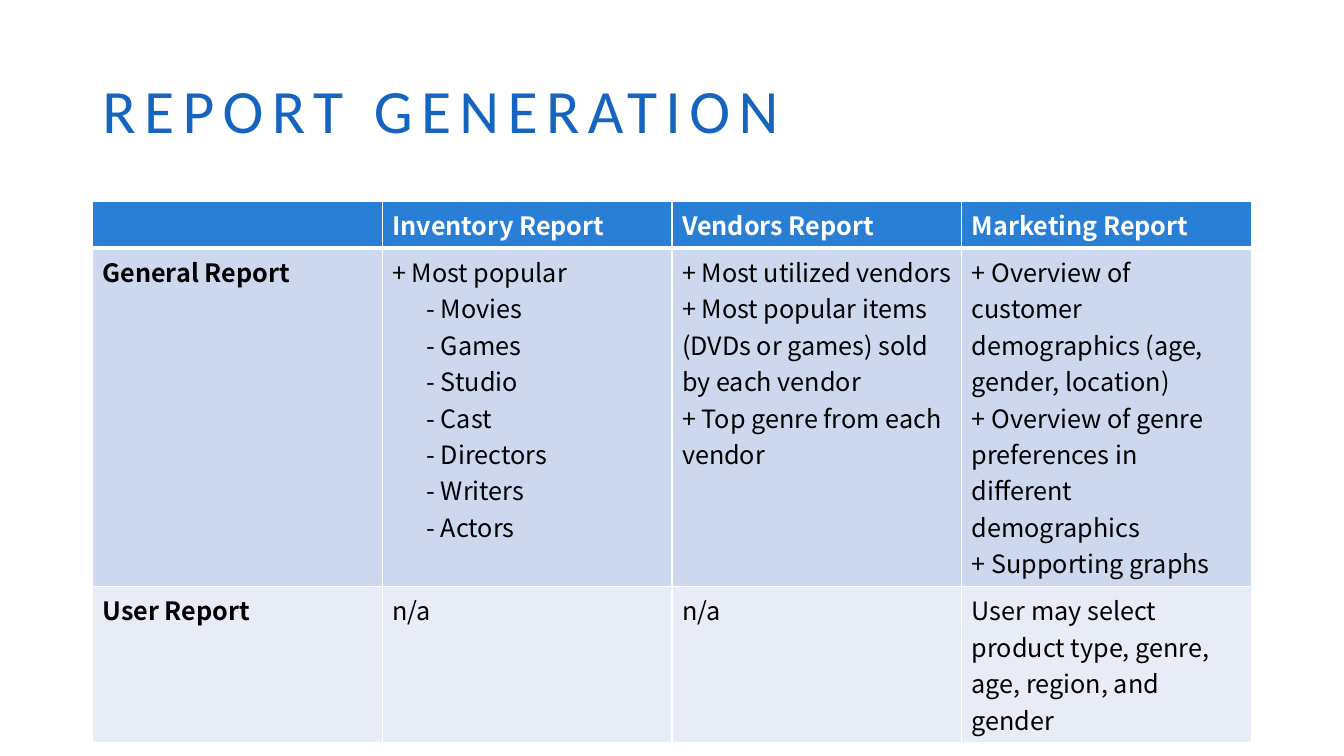
from lxml.etree import SubElement
from pptx import Presentation
from pptx.dml.color import RGBColor
from pptx.enum.text import MSO_ANCHOR
from pptx.oxml.ns import qn
from pptx.util import Pt

TITLE_BLUE = RGBColor(0x15, 0x65, 0xC0)
HEADER_BLUE = RGBColor(0x29, 0x7F, 0xD5)
BAND_DARK = RGBColor(0xCD, 0xD8, 0xEF)
BAND_LIGHT = RGBColor(0xE8, 0xEC, 0xF7)
WHITE = RGBColor(0xFF, 0xFF, 0xFF)
BLACK = RGBColor(0, 0, 0)
TABLE_FONT = "Noto Sans CJK TC"
LEFT, WIDTH = 66, 828

# Each cell is a list of paragraphs; those starting with "-" are indented
ROWS = [
    [[], ["Inventory Report"], ["Vendors Report"], ["Marketing Report"]],
    [
        ["General Report"],
        ["+ Most popular", "- Movies", "- Games", "- Studio", "- Cast",
         "- Directors", "- Writers", "- Actors"],
        ["+ Most utilized vendors",
         "+ Most popular items (DVDs or games) sold by each vendor",
         "+ Top genre from each vendor"],
        ["+ Overview of customer demographics (age, gender, location)",
         "+ Overview of genre preferences in different demographics",
         "+ Supporting graphs"],
    ],
    [["User Report"], ["n/a"], ["n/a"],
     ["User may select product type, genre, age, region, and gender"]],
]
ROW_FILLS = [HEADER_BLUE, BAND_DARK, BAND_LIGHT]

# Row heights follow from the longest cell of each row
ROW_LINES = [1, 9, 4]
LINE_HEIGHT, CELL_MARGINS = 26.06, 7.2
ROW_HEIGHTS = [Pt(lines * LINE_HEIGHT + CELL_MARGINS) for lines in ROW_LINES]


def add_borders(cell, top, bottom):
    properties = cell._tc.get_or_add_tcPr()
    for side, width in (("L", 1), ("R", 1), ("T", top), ("B", bottom)):
        line = SubElement(properties, qn(f"a:ln{side}"), w=str(Pt(width)))
        fill = SubElement(line, qn("a:solidFill"))
        SubElement(fill, qn("a:srgbClr"), val=str(WHITE))


presentation = Presentation()
presentation.slide_width = Pt(960)
presentation.slide_height = Pt(540)
slide = presentation.slides.add_slide(presentation.slide_layouts[6])

# Title
title = slide.shapes.add_textbox(Pt(LEFT), Pt(28.75), Pt(WIDTH), Pt(104.4))
title.text_frame.word_wrap = True
title.text_frame.vertical_anchor = MSO_ANCHOR.MIDDLE
paragraph = title.text_frame.paragraphs[0]
paragraph.line_spacing = 0.9
run = paragraph.add_run()
run.text = "REPORT GENERATION"
run.font.name = "Calibri"
run.font.size = Pt(44)
run.font.color.rgb = TITLE_BLUE
run.font._element.set("spc", "600")

# Report table
table = slide.shapes.add_table(
    len(ROWS), len(ROWS[0]), Pt(LEFT), Pt(143.8),
    Pt(WIDTH), sum(ROW_HEIGHTS)).table

for row_index, row in enumerate(ROWS):
    is_header = row_index == 0
    table.rows[row_index].height = ROW_HEIGHTS[row_index]
    for column_index, lines in enumerate(row):
        cell = table.cell(row_index, column_index)
        add_borders(cell, top=3 if row_index == 1 else 1,
                    bottom=3 if is_header else 1)
        cell.fill.solid()
        cell.fill.fore_color.rgb = ROW_FILLS[row_index]
        cell.text = "\n".join(lines)
        for paragraph in cell.text_frame.paragraphs:
            paragraph.font.name = TABLE_FONT
            paragraph.font.size = Pt(18)
            paragraph.font.bold = is_header or column_index == 0
            paragraph.font.color.rgb = WHITE if is_header else BLACK
            if paragraph.text.startswith("-"):
                paragraph._p.get_or_add_pPr().set("marL", str(Pt(24.5)))

presentation.save("out.pptx")
